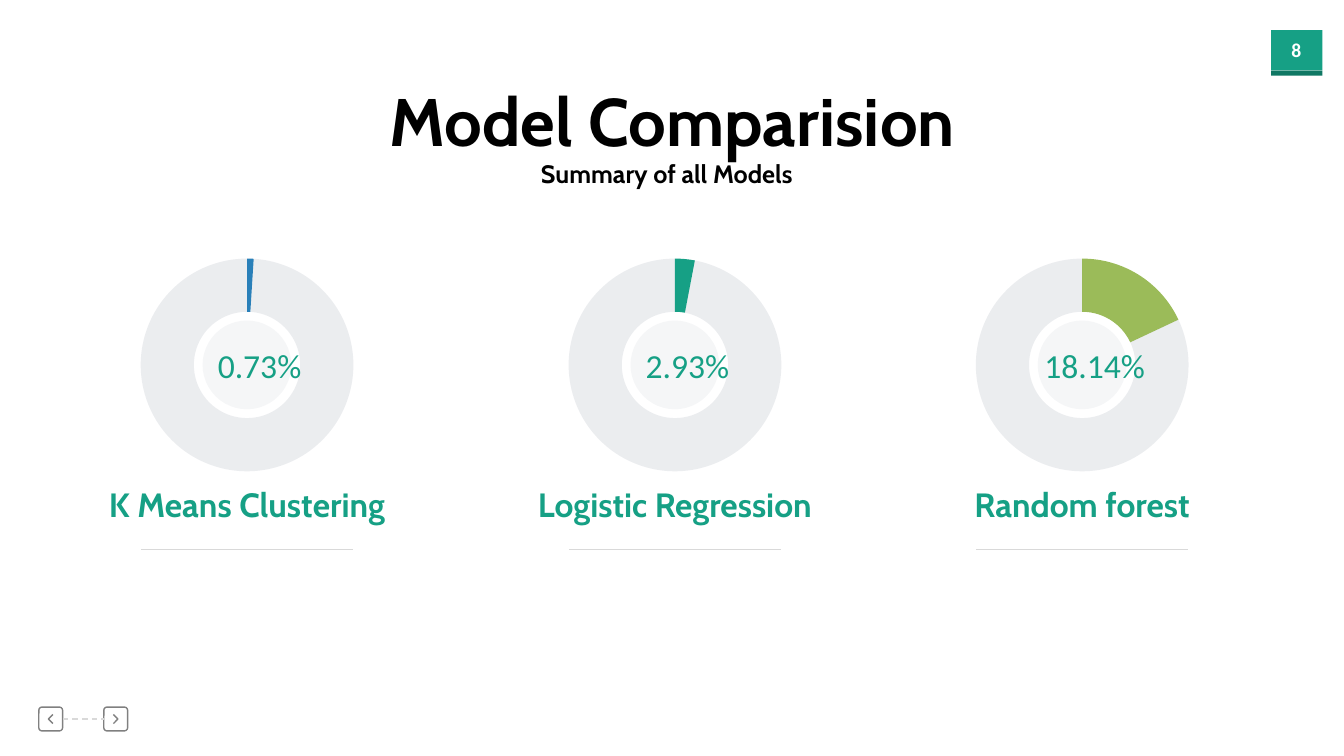
import dataclasses

import pptx
import pptx.chart.data
import pptx.dml.color
import pptx.enum.chart
import pptx.enum.dml
import pptx.enum.shapes
import pptx.enum.text
import pptx.oxml
import pptx.oxml.ns
import pptx.util

SHAPE = pptx.enum.shapes.MSO_SHAPE
QN = pptx.oxml.ns.qn


@dataclasses.dataclass(frozen=True)
class Theme:
    head: str = "Cabin"
    body: str = "Calibri"
    black: str = "000000"
    white: str = "FFFFFF"
    teal: str = "16A085"
    deep: str = "107864"
    blue: str = "2980B9"
    green: str = "9BBB59"
    slate: str = "44546A"
    gray: str = "808080"
    pale: str = "D9D9D9"
    title: int = 48
    label: int = 24
    sub: int = 18
    page: int = 14
    chart: int = 10


def color(code):
    return pptx.dml.color.RGBColor.from_string(code)


def fade(root, code, share):
    """Make every fill of one colour under root translucent."""
    for node in root.iter(QN("a:srgbClr")):
        if node.get("val") == code:
            alpha = pptx.oxml.parse_xml(
                f'<a:alpha {pptx.oxml.ns.nsdecls("a")} val="{share * 1000}"/>')
            node.append(alpha)


class Deck:
    """Style and current slide; lengths are grid cells, ten to the inch."""

    def __init__(self, theme):
        self.theme = theme
        self.file = pptx.Presentation()
        self.file.slide_width = self.cell(133.33)
        self.file.slide_height = self.cell(75)
        self.slide = self.file.slides.add_slide(self.file.slide_layouts[0])
        self.shapes = self.slide.shapes

    def cell(self, count):
        return pptx.util.Inches(count / 10)

    def box(self, *cells):
        return [self.cell(count) for count in cells]

    def letter(self, shape, text, font, size, code, bold=False):
        """Set one centred run of text in a shape."""
        frame = shape.text_frame
        frame.word_wrap = True
        frame.auto_size = pptx.enum.text.MSO_AUTO_SIZE.NONE
        frame.vertical_anchor = pptx.enum.text.MSO_ANCHOR.TOP
        para = frame.paragraphs[0]
        para.alignment = pptx.enum.text.PP_ALIGN.CENTER
        para.space_before = pptx.util.Pt(0)
        run = para.add_run()
        run.text = text
        run.font.name, run.font.size = font, pptx.util.Pt(size)
        run.font.bold = bold
        run.font.color.rgb = color(code)

    def holder(self, index, cells, text, size):
        shape = self.slide.placeholders[index]
        shape.left, shape.top, shape.width, shape.height = self.box(*cells)
        self.letter(shape, text, self.theme.head, size, self.theme.black, True)

    def text(self, cells, text, font, size, code, bold=False):
        shape = self.shapes.add_textbox(*self.box(*cells))
        self.letter(shape, text, font, size, code, bold)

    def block(self, kind, cells, code):
        shape = self.shapes.add_shape(kind, *self.box(*cells))
        shape.shadow.inherit = False
        shape.fill.solid()
        shape.fill.fore_color.rgb = color(code)
        shape.line.fill.background()
        return shape

    def line(self, start, end, width, dash=None):
        link = self.shapes.add_connector(
            pptx.enum.shapes.MSO_CONNECTOR.STRAIGHT, *self.box(*start, *end))
        link.line.color.rgb = color(self.theme.pale)
        link.line.width = pptx.util.Pt(width)
        link.line.dash_style = dash
        link._element.spPr.append(pptx.oxml.parse_xml(
            f'<a:effectLst {pptx.oxml.ns.nsdecls("a")}/>'))
        return link

    def button(self, left, top, way):
        """Draw a rounded key whose chevron points left (-1) or right (1)."""
        side, half = 2.36, 0.45
        key = self.block(SHAPE.ROUNDED_RECTANGLE, (left, top, side, side),
                         self.theme.white)
        key.adjustments[0] = 0.13
        x, y = left + side / 2, top + side / 2
        back, tip = x - way * half / 2, x + way * half / 2
        build = self.shapes.build_freeform(*self.box(back, y - half))
        build.add_line_segments(
            [self.box(tip, y), self.box(back, y + half)], close=False)
        mark = build.convert_to_shape()
        mark.shadow.inherit = False
        for shape in (key, mark):
            shape.fill.background()
            shape.line.color.rgb = color(self.theme.gray)
            shape.line.width = pptx.util.Pt(1)
        return key

    def ring(self, mid, top, share, code):
        theme, wide, high, across = self.theme, 25.1, 23.8, 21.1
        data = pptx.chart.data.CategoryChartData()
        data.categories = ["1", "2"]
        data.add_series("Series 1", (share, 100 - share))
        chart = self.shapes.add_chart(
            pptx.enum.chart.XL_CHART_TYPE.DOUGHNUT,
            *self.box(mid - wide / 2, top, wide, high), data).chart
        chart.has_legend = chart.has_title = False
        chart.font.name = theme.body
        chart.font.size = pptx.util.Pt(theme.chart)
        chart.font.color.rgb = color(theme.black)
        plot = chart.plots[0]
        plot.vary_by_categories = True
        for index, tint in enumerate((code, theme.slate)):
            look = plot.series[0].points[index].format
            look.fill.solid()
            look.fill.fore_color.rgb = color(tint)
            look.line.fill.background()
        root = chart._chartSpace
        fade(root, theme.slate, 10)
        next(root.iter(QN("c:holeSize"))).set("val", "84")
        area = next(root.iter(QN("c:plotArea")))
        for old in area.findall(QN("c:layout")):
            area.remove(old)
        w, h = across / wide, across / high
        spots = {"x": (1 - w) / 2, "y": (1 - h) / 2, "w": w, "h": h}
        parts = "".join(f'<c:{name} val="{spot:.3f}"/>'
                        for name, spot in spots.items())
        area.insert(0, pptx.oxml.parse_xml(
            f'<c:layout {pptx.oxml.ns.nsdecls("c")}><c:manualLayout>'
            '<c:layoutTarget val="inner"/><c:xMode val="edge"/>'
            f'<c:yMode val="edge"/>{parts}</c:manualLayout></c:layout>'))

    def model(self, mid, name, value, share, code):
        """Draw one model's ring, value, name and rule around a centre."""
        theme, core = self.theme, 8.8
        self.ring(mid, 24.3, share, code)
        disc = self.block(SHAPE.OVAL, (mid - core / 2, 31.8, core, core),
                          theme.slate)
        fade(disc._element, theme.slate, 5)
        self.text((mid - 5.75, 33.7, 14, 5), value,
                  theme.body, theme.label, theme.teal)
        self.text((mid - 17, 47.5, 34, 5), name,
                  theme.head, theme.label, theme.teal, True)
        self.line((mid - 10.5, 54.5), (mid + 10.5, 54.5), 0.5)


def main():
    theme = Theme()
    deck = Deck(theme)
    deck.block(SHAPE.RECTANGLE, (126.1, 3, 5.1, 4), theme.teal)
    deck.block(SHAPE.RECTANGLE, (126.1, 7, 5.1, 0.5), theme.deep)
    deck.text((126.4, 3.3, 4.4, 3.4), "8",
              theme.body, theme.page, theme.white, True)

    prev = deck.button(3.85, 70.15, -1)
    after = deck.button(10.3, 70.15, 1)
    link = deck.line((6.2, 71.3), (10.3, 71.3), 1,
                     pptx.enum.dml.MSO_LINE.DASH)
    link.begin_connect(prev, 3)
    link.end_connect(after, 1)

    deck.holder(1, (51.4, 15.2, 29.5, 4), "Summary of all Models", theme.sub)
    deck.holder(0, (34.4, 7.4, 64.6, 9.1), "Model Comparision", theme.title)

    for model in (
        (24.5, "K Means Clustering", "0.73%", 1, theme.blue),
        (66.95, "Logistic Regression", "2.93%", 3, theme.teal),
        (107.35, "Random forest", "18.14%", 18, theme.green),
    ):
        deck.model(*model)
    deck.file.save("out.pptx")


if __name__ == "__main__":
    main()
